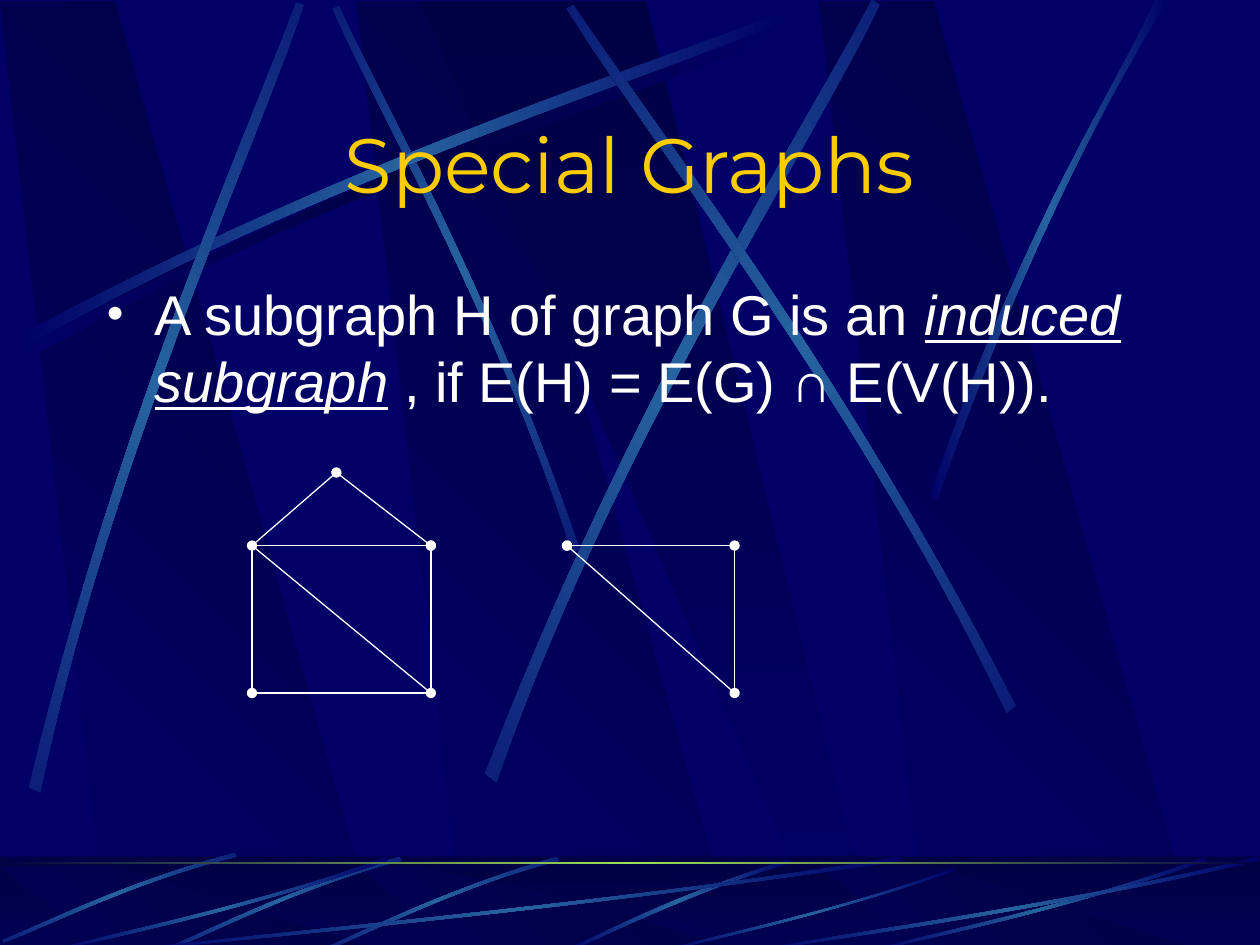
import copy
import math

import lxml.etree
import pptx
import pptx.dml.color
import pptx.enum.shapes
import pptx.enum.text
import pptx.oxml.ns
import pptx.util

Inches = pptx.util.Inches
RGB = pptx.dml.color.RGBColor
ALIGN = pptx.enum.text.PP_ALIGN
ANCHOR = pptx.enum.text.MSO_ANCHOR
qn = pptx.oxml.ns.qn

NAVY = RGB(0x00, 0x00, 0x66)
DARK = RGB(0x00, 0x00, 0x44)
STEEL = RGB(0x26, 0x63, 0xA0)
LIME = RGB(0x9C, 0xE1, 0x57)
GOLD = RGB(0xFF, 0xCC, 0x00)
WHITE = RGB(0xFF, 0xFF, 0xFF)

# Text: words with their formats
TITLE = [("Special Graphs", {})]
BODY = [
    ("A subgraph H of graph G is an ", {}),
    ("induced subgraph", {"italic": True, "underline": True}),
    (" , if E(H) = E(G) ∩ E(V(H)).", {}),
]

# Graphs: nodes, then edges with True where the ends carry dots
NODES = {
    "a": (2, 4.33), "b": (3.42, 4.33), "c": (3.42, 5.5), "d": (2, 5.5),
    "e": (2.67, 3.75),
    "p": (4.5, 4.33), "q": (5.83, 4.33), "r": (5.83, 5.5),
}
EDGES = [
    ("ab", True), ("ad", False), ("dc", True), ("cb", False), ("ae", False),
    ("be", True), ("pq", True), ("qr", False), ("rp", True), ("ac", False),
]

# Streaks: two Bezier edges (there and back), rotation, x shifts
BEAM = [(0.14, 2.67), (2.78, 1.25), (5.18, 0.51), (6.2, 0.1),
        (6.23, 0.16), (5.22, 0.61), (2.48, 1.43), (0.17, 2.77)]
SHADE = [(x + 0.06, y + 0.08) for x, y in BEAM]
TALL = [
    ([(4.6, 4.36), (3.91, 2.34), (3.02, 0.77), (2.69, 0.05),
      (2.64, 0.07), (2.95, 0.79), (3.98, 2.58), (4.54, 4.39)], 45, [0]),
    (BEAM, 0, [0]),
    ([(0.23, 6.25), (0.93, 3.34), (1.97, 1.05), (2.35, 0.02),
      (2.41, 0.04), (2.07, 1.08), (0.86, 3.68), (0.32, 6.29)], 311.7, [0]),
    ([(3.85, 6.14), (4.98, 3.2), (6.38, 1.02), (6.92, 0),
      (6.98, 0.04), (6.49, 1.08), (4.86, 3.55), (3.94, 6.21)], 321.6, [0]),
    ([(8.06, 5.6), (6.7, 2.93), (5.16, 0.95), (4.55, 0.04),
      (4.5, 0.07), (5.07, 1.01), (6.85, 3.25), (7.99, 5.66)], 34.8, [0]),
    ([(7.38, 3.93), (8.14, 1.73), (8.88, 0.66), (9.17, 0),
      (9.27, 0), (8.36, 1.45), (7.69, 3.22), (7.44, 3.97)], 0, [0]),
]
LOW = [
    ([(6.27, 6.82), (5.37, 7.09), (4.77, 7.42), (4.48, 7.54),
      (4.53, 7.55), (4.9, 7.37), (5.71, 7), (6.28, 6.85)], 0, [0]),
    ([(4.42, 6.8), (3.55, 7.05), (2.87, 7.4), (2.56, 7.53),
      (2.57, 7.55), (2.88, 7.43), (3.65, 7.03), (4.44, 6.83)], 314.9, [0, -1.25]),
    ([(1.86, 6.77), (0.99, 7), (0.33, 7.34), (0.02, 7.46),
      (0.03, 7.48), (0.34, 7.37), (1.1, 6.98), (1.88, 6.8)], 314.9, [0]),
    ([(7.17, 6.83), (4.49, 7.23), (2.06, 7.44), (1.03, 7.55),
      (1, 7.54), (2.02, 7.41), (4.8, 7.18), (7.14, 6.8)], 0, [0]),
    ([(3.08, 6.83), (1.93, 7.23), (0.88, 7.44), (0.43, 7.55),
      (0.42, 7.54), (0.86, 7.41), (2.06, 7.18), (3.07, 6.8)], 0, [0]),
    ([(7.58, 6.91), (6.58, 7.26), (5.67, 7.45), (5.28, 7.55),
      (5.27, 7.54), (5.65, 7.43), (6.69, 7.22), (7.57, 6.89)], 0, [0]),
    ([(9.58, 6.83), (8.43, 7.23), (7.38, 7.44), (6.93, 7.55),
      (6.92, 7.54), (7.36, 7.41), (8.56, 7.18), (9.57, 6.8)], 0, [0]),
    ([(10, 6.83), (8.27, 7.23), (6.69, 7.44), (6.02, 7.55),
      (6, 7.54), (6.66, 7.41), (8.46, 7.18), (9.98, 6.8)], 0, [0]),
]

deck = pptx.Presentation()
deck.slide_width, deck.slide_height = Inches(10), Inches(7.5)
slide = deck.slides.add_slide(deck.slide_layouts[6])
slide.background.fill.solid()
slide.background.fill.fore_color.rgb = NAVY
shapes = slide.shapes


def blend(shape, tones, angle=0):
    """Fill with evenly spaced colours; angle runs clockwise."""
    shape.shadow.inherit = False
    shape.line.fill.background()
    fill = shape.fill
    fill.gradient()
    fill.gradient_angle = -angle % 360
    stops = shape._element.spPr.find(".//" + qn("a:gsLst"))
    while len(stops) < len(tones):
        stops.append(copy.deepcopy(stops[0]))
    for i, (stop, tone) in enumerate(zip(fill.gradient_stops, tones)):
        stop.color.rgb = tone
        stop.position = i / (len(tones) - 1)


def outline(points):
    spots = [(Inches(x), Inches(y)) for x, y in points]
    pen = shapes.build_freeform(*spots[0], scale=1.0)
    pen.add_line_segments(spots[1:], close=True)
    return pen.convert_to_shape()


def bar(top, height):
    return shapes.add_shape(pptx.enum.shapes.MSO_SHAPE.RECTANGLE,
                            0, Inches(top), Inches(10), Inches(height))


def bend(shape):
    """Turn the two long edges into Bezier curves."""
    sides = shape._element.spPr.findall(".//" + qn("a:lnTo"))
    for trio in (sides[:3], sides[4:7]):
        arc = lxml.etree.Element(qn("a:cubicBezTo"))
        trio[0].addprevious(arc)
        for side in trio:
            arc.append(side[0])
            side.getparent().remove(side)


def streak(points, angle=0, shift=0, tone=STEEL):
    """Draw the outline unturned, so the fill turns along with the shape."""
    turn = complex(math.cos(math.radians(angle)), math.sin(math.radians(angle)))
    flat = [complex(x + shift, y) / turn for x, y in points]
    xs, ys = [p.real for p in flat], [p.imag for p in flat]
    mid = complex(min(xs) + max(xs), min(ys) + max(ys)) / 2
    move = mid * turn - mid
    shape = outline([((p + move).real, (p + move).imag) for p in flat])
    bend(shape)
    shape.rotation = angle
    blend(shape, [NAVY, tone, NAVY])


def wedges(top, end):
    for x in (2.83, 0, 6.5):
        blend(outline([(x + 0.86, end), (x + 3.02, end), (x + 0.91, top), (x, top)]),
              [NAVY, DARK], 315)
    blend(outline([(3.33, top), (6.58, end), (6.94, end), (5.13, top)]),
          [DARK, NAVY], 90)


def streaks(group):
    for points, angle, shifts in group:
        for shift in shifts:
            streak(points, angle, shift)


def write(box, runs, look, align=ALIGN.LEFT, anchor=ANCHOR.TOP, bullet=None):
    frame = shapes.add_textbox(*map(Inches, box)).text_frame
    frame.word_wrap = True
    frame.vertical_anchor = anchor
    para = frame.paragraphs[0]
    para.alignment = align
    if bullet:
        props = para._p.get_or_add_pPr()
        props.set("marL", str(Inches(0.38)))
        props.set("indent", str(Inches(-0.38)))
        tint = lxml.etree.SubElement(props, qn("a:buClr"))
        lxml.etree.SubElement(tint, qn("a:srgbClr"), val=str(look["tone"]))
        lxml.etree.SubElement(props, qn("a:buSzPct"), val="85000")
        lxml.etree.SubElement(props, qn("a:buFont"), typeface=look["name"])
        lxml.etree.SubElement(props, qn("a:buChar"), char=bullet)
    for words, extra in runs:
        run = para.add_run()
        run.text = words
        values = {**look, **extra}
        run.font.color.rgb = values.pop("tone")
        for key, value in values.items():
            setattr(run.font, key, value)


# Backdrop
wedges(0.01, 7.52)
streak(SHADE, tone=DARK)
streaks(TALL)

# Bottom band
blend(bar(6.8, 0.75), [DARK, NAVY], 90)
wedges(6.88, 7.54)
veil = bar(6.79, 0.75)
veil.shadow.inherit = False
veil.line.fill.background()
veil.fill.solid()
veil.fill.fore_color.rgb = DARK
tint = veil._element.spPr.find(".//" + qn("a:srgbClr"))
lxml.etree.SubElement(tint, qn("a:alpha"), val="50000")
streaks(LOW)
blend(bar(6.84, 0.02), [DARK, LIME, DARK])

# Title and body
write((0.75, 0.88, 8.5, 0.83), TITLE,
      {"name": "Montserrat", "size": pptx.util.Pt(44), "tone": GOLD},
      ALIGN.CENTER, ANCHOR.MIDDLE)
write((0.75, 2.17, 8.5, 4.5), BODY,
      {"name": "Arial", "size": pptx.util.Pt(32), "tone": WHITE}, bullet="•")

# Graph edges
for (start, end), dots in EDGES:
    edge = shapes.add_connector(pptx.enum.shapes.MSO_CONNECTOR.STRAIGHT,
                                *map(Inches, NODES[start] + NODES[end]))
    edge.line.color.rgb = WHITE
    edge.line.width = pptx.util.Pt(0.75)
    props = edge._element.spPr
    if dots:
        for tip in ("a:headEnd", "a:tailEnd"):
            lxml.etree.SubElement(props.find(qn("a:ln")), qn(tip), type="oval")
    lxml.etree.SubElement(props, qn("a:effectLst"))

deck.save("out.pptx")
